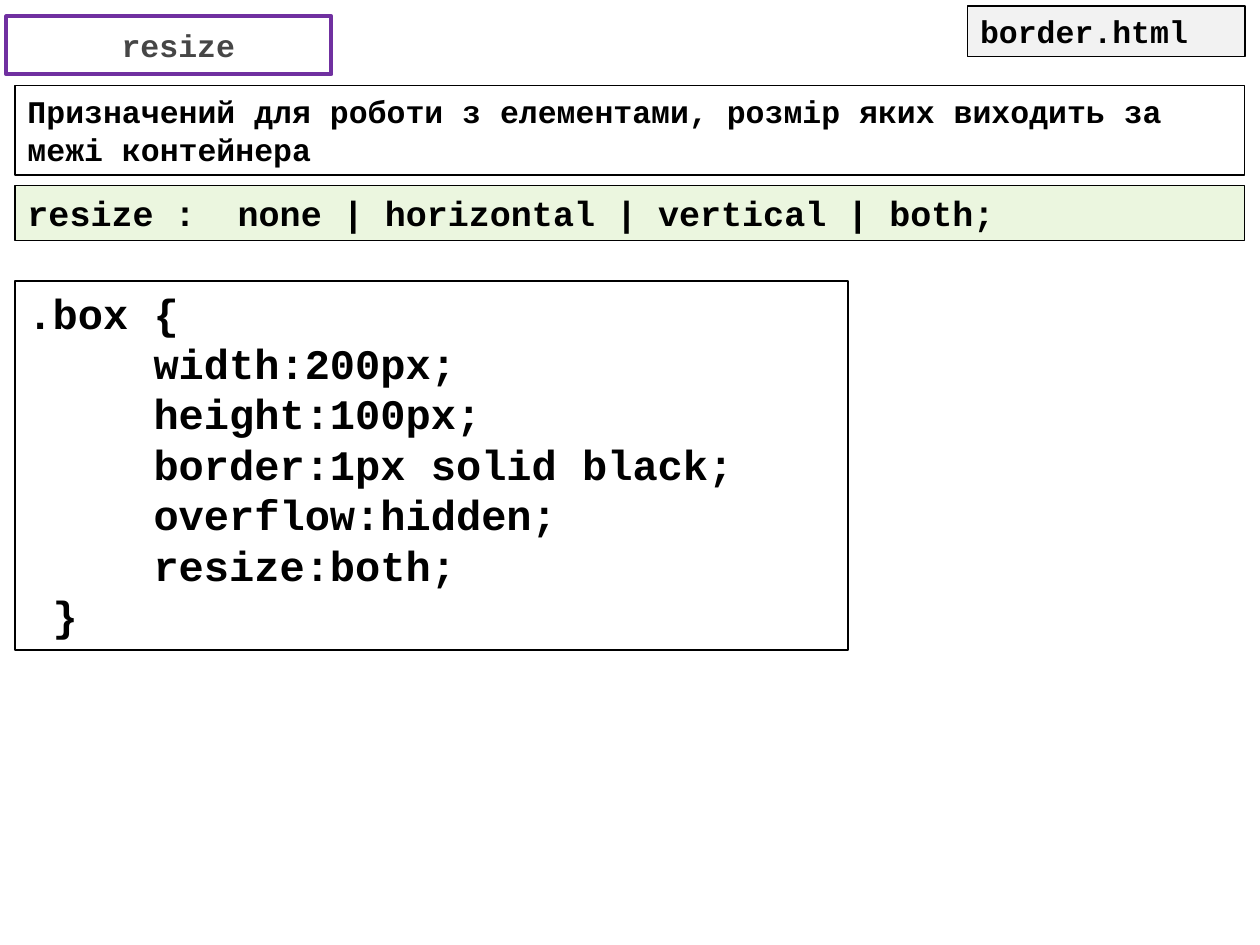
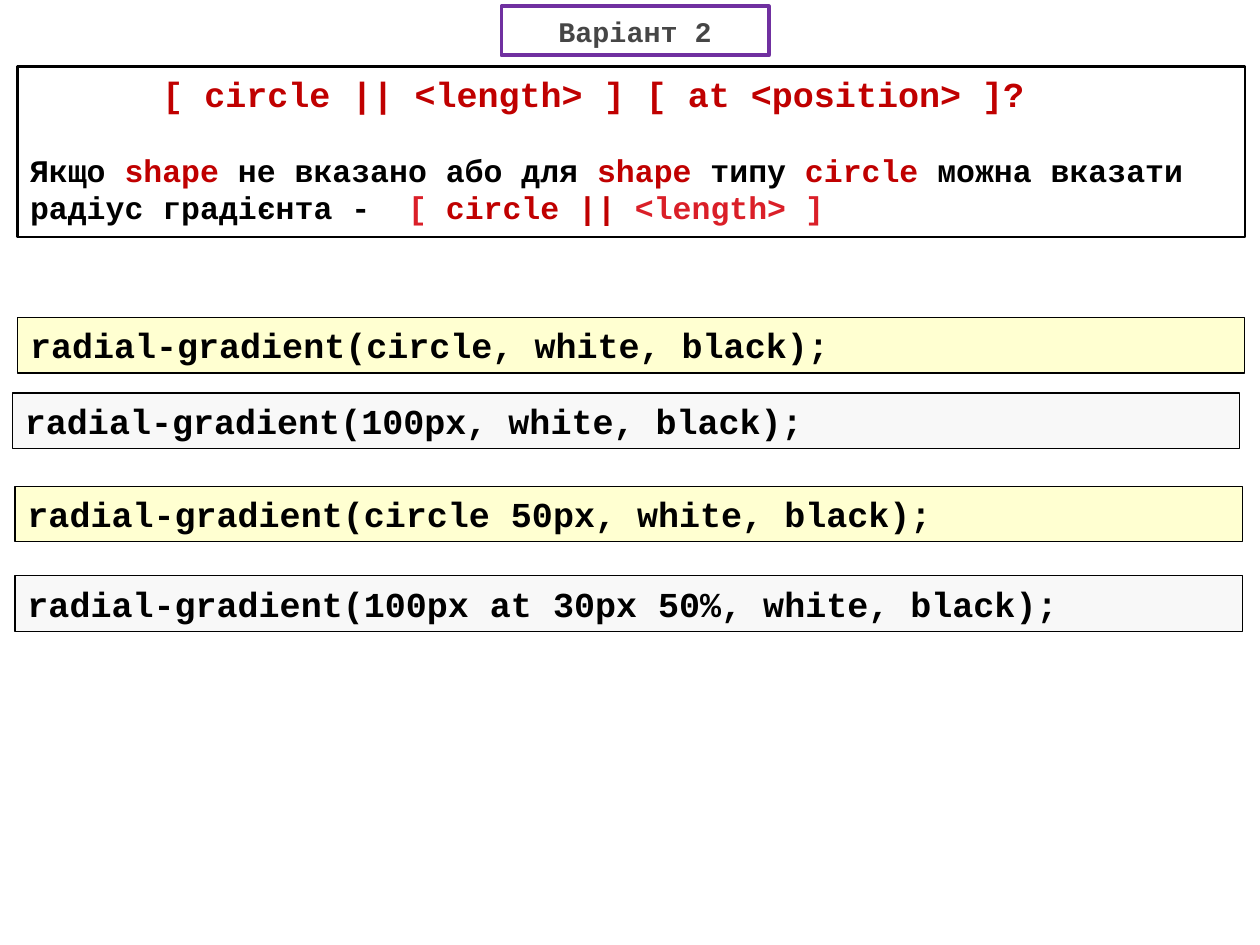
from lxml import etree
from pptx import Presentation
from pptx.dml.color import RGBColor
from pptx.enum.shapes import MSO_SHAPE
from pptx.enum.text import MSO_ANCHOR, MSO_AUTO_SIZE, PP_ALIGN
from pptx.oxml.ns import qn
from pptx.util import Inches, Pt

RECT = MSO_SHAPE.RECTANGLE
TOP, MIDDLE = MSO_ANCHOR.TOP, MSO_ANCHOR.MIDDLE
LEFT, CENTER = PP_ALIGN.LEFT, PP_ALIGN.CENTER
FIXED = MSO_AUTO_SIZE.NONE

FONT = "Courier New"
BLACK = RGBColor(0x00, 0x00, 0x00)
WHITE = RGBColor(0xFF, 0xFF, 0xFF)
SLATE = RGBColor(0x46, 0x46, 0x46)
PURPLE = RGBColor(0x70, 0x30, 0xA0)
GREEN = RGBColor(0x92, 0xD0, 0x50)
YELLOW = RGBColor(0xFF, 0xFF, 0x00)
SILVER = RGBColor(0xD9, 0xD9, 0xD9)
PALE = RGBColor(0xF2, 0xF2, 0xF2)
RED = RGBColor(0xC0, 0x00, 0x00)
ROSE = RGBColor(0xDA, 0x1F, 0x28)


def box(slide, place, fill=None, tint=False, edge=0.75, title=False):
    spots = [Inches(n) for n in place]
    if title:
        shape = slide.shapes.title
        shape.left, shape.top, shape.width, shape.height = spots
    else:
        shape = slide.shapes.add_shape(RECT, *spots)
        shape.shadow.inherit = False
    if fill is None:
        shape.fill.background()
    else:
        shape.fill.solid()
        shape.fill.fore_color.rgb = fill
    if tint:
        color = shape.fill._xPr.find(".//" + qn("a:srgbClr"))
        etree.SubElement(color, qn("a:alpha"), val="18000")
    shape.line.color.rgb = PURPLE if title else BLACK
    shape.line.width = Pt(edge)
    frame = shape.text_frame
    frame.word_wrap = True
    frame.auto_size = FIXED
    frame.vertical_anchor = MIDDLE if title else TOP
    return frame


def write(frame, text, size=20, color=BLACK, align=LEFT, indent=0, before=0):
    para = frame.add_paragraph() if frame.text else frame.paragraphs[0]
    para.alignment = align
    para.space_before = Pt(before)
    if indent:
        props = para._p.get_or_add_pPr()
        props.set("marL", str(Inches(indent)))
        props.set("indent", "0")
    for words, shade in [(text, color)] if isinstance(text, str) else text:
        run = para.add_run()
        run.text = words
        run.font.name = FONT
        run.font.size = Pt(size)
        run.font.bold = True
        run.font.color.rgb = shade


deck = Presentation()
deck.slide_width = Inches(10)
deck.slide_height = Inches(7.5)

heads = [
    ("resize", (0.05, 0.13, 2.58, 0.46), 18, 0.25),
    ("Варіант 2", (3.98, 0.05, 2.12, 0.39), 16.2, 0.1),
]
slides = []
for name, place, size, inset in heads:
    slide = deck.slides.add_slide(deck.slide_layouts[5])
    head = box(slide, place, fill=WHITE, edge=2.25, title=True)
    head.margin_left = Inches(inset)
    write(head, name, size=size, color=SLATE, align=CENTER)
    slides.append(slide)
first, second = slides

rule = box(first, (0.12, 1.47, 9.76, 0.44), fill=GREEN, tint=True)
write(rule, "resize :  none | horizontal | vertical | both;")

code = box(first, (0.12, 2.23, 6.61, 2.93))
write(code, ".box {", size=24)
for line in (
    "width:200px;",
    "height:100px;",
    "border:1px solid black;",
    "overflow:hidden;",
    "resize:both;",
):
    write(code, line, size=24, indent=1)
write(code, "}", size=24, indent=0.2)

about = box(first, (0.12, 0.68, 9.76, 0.71))
write(about, "Призначений для роботи з елементами, розмір яких виходить за межі контейнера", size=18)

file = box(first, (7.68, 0.05, 2.2, 0.4), fill=PALE, edge=1)
write(file, "border.html", size=18)

syntax = box(second, (0.14, 0.53, 9.74, 1.35), edge=1.5)
write(syntax, "[ circle || <length> ] [ at <position> ]?", color=RED, indent=1.05)
write(syntax, [
    ("Якщо ", BLACK),
    ("shape ", RED),
    ("не вказано або для ", BLACK),
    ("shape ", RED),
    ("типу ", BLACK),
    ("circle ", RED),
    ("можна вказати", BLACK),
], size=18, before=20.4)
write(syntax, [
    ("радіус градієнта -  ", BLACK),
    ("[ ", ROSE),
    ("circle ||", RED),
    (" <length> ]", ROSE),
], size=18)

samples = [
    (0.14, 2.52, "circle"),
    (0.1, 3.12, "100px"),
    (0.12, 3.86, "circle 50px"),
    (0.12, 4.57, "100px at 30px 50%"),
]
for i, (left, top, form) in enumerate(samples):
    band = box(second, (left, top, 9.74, 0.44), fill=(YELLOW, SILVER)[i % 2], tint=True)
    write(band, f"radial-gradient({form}, white, black);")

deck.save("out.pptx")
